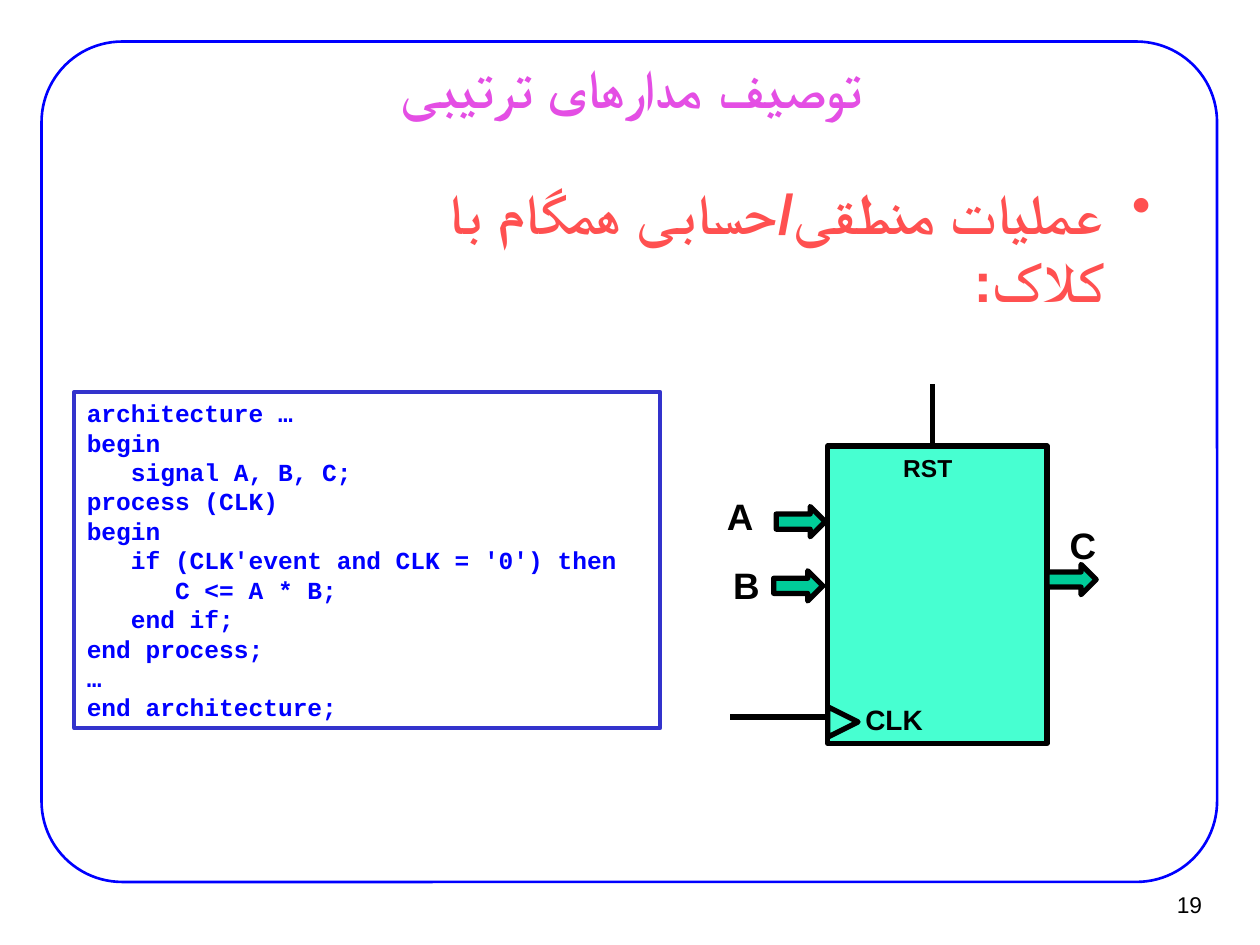
from dataclasses import dataclass

from lxml.etree import SubElement
from pptx import Presentation
from pptx.dml.color import RGBColor as Color
from pptx.enum.shapes import MSO_CONNECTOR as Connector, MSO_SHAPE as Shape
from pptx.enum.text import MSO_ANCHOR as Anchor, PP_ALIGN as Align
from pptx.oxml.ns import qn
from pptx.util import Inches, Pt

CODE = """architecture …
begin
   signal A, B, C;
process (CLK)
begin
   if (CLK'event and CLK = '0') then
      C <= A * B;
   end if;
end process;
…
end architecture;"""


@dataclass(frozen=True)
class Theme:
    """Colours, fonts and type sizes of the slide."""

    black: str = "000000"
    blue: str = "0000FF"
    code_border: str = "3333CC"
    title: str = "E44EE4"
    bullet: str = "FF5050"
    block: str = "47FFD1"
    arrow: str = "00CC99"
    sans: str = "Arial"
    mono: str = "Courier New"
    title_size: int = 31
    bullet_size: int = 32
    port_size: int = 21
    clock_size: int = 16
    small_size: int = 14
    number_size: int = 13


class SlideBuilder:
    """Draws styled elements on the current slide."""

    def __init__(self, slide, theme):
        self.slide = slide
        self.theme = theme

    def shape(self, kind, box, fill=None, line=None, width=3, adjust=None, rotation=0):
        shape = self.slide.shapes.add_shape(kind, *map(Inches, box))
        shape.shadow.inherit = False
        shape.rotation = rotation
        if adjust is not None:
            shape.adjustments[0] = adjust
        if fill:
            shape.fill.solid()
            shape.fill.fore_color.rgb = Color.from_string(fill)
        else:
            shape.fill.background()
        shape.line.color.rgb = Color.from_string(line or self.theme.black)
        shape.line.width = Pt(width)
        return shape

    def line(self, start, end):
        line = self.slide.shapes.add_connector(
            Connector.STRAIGHT, *map(Inches, start + end))
        line.line.color.rgb = Color.from_string(self.theme.black)
        line.line.width = Pt(3)
        SubElement(line._element.spPr, qn("a:effectLst"))

    def set_text(self, shape, text, size, color=None, font=None, bold=True,
                 align=Align.LEFT, anchor=Anchor.TOP, insets=(0.1, 0.05),
                 wrap=True, rtl=False, bullet=False):
        frame = shape.text_frame
        frame.word_wrap = wrap
        frame.vertical_anchor = anchor
        frame.margin_left = frame.margin_right = Inches(insets[0])
        frame.margin_top = frame.margin_bottom = Inches(insets[1])
        for index, content in enumerate(text.split("\n")):
            paragraph = frame.add_paragraph() if index else frame.paragraphs[0]
            paragraph.alignment = align
            properties = paragraph._p.get_or_add_pPr()
            if rtl:
                properties.set("rtl", "1")
            if bullet:
                properties.set("marL", str(Inches(0.38)))
                properties.set("indent", str(-Inches(0.38)))
                SubElement(properties, qn("a:buChar")).set("char", "•")
            run = paragraph.add_run()
            run.text = content
            run.font.size = Pt(size)
            run.font.bold = bold
            run.font.name = font or self.theme.sans
            run.font.color.rgb = Color.from_string(color or self.theme.black)
            if rtl:
                complex_font = SubElement(run._r.get_or_add_rPr(), qn("a:cs"))
                complex_font.set("typeface", self.theme.sans)

    def text(self, box, text, size, **style):
        shape = self.slide.shapes.add_textbox(*map(Inches, box))
        self.set_text(shape, text, size, **style)

    def code(self, box, text):
        shape = self.shape(Shape.RECTANGLE, box, line=self.theme.code_border, width=2.25)
        self.set_text(shape, text, self.theme.small_size, color=self.theme.blue,
                      font=self.theme.mono, anchor=Anchor.MIDDLE)

    def port(self, name, label_at, arrow_at):
        self.text((*label_at, 0.35, 0.45), name, self.theme.port_size)
        self.shape(Shape.RIGHT_ARROW, (*arrow_at, 0.39, 0.24), fill=self.theme.arrow)


def main():
    presentation = Presentation()
    presentation.slide_width, presentation.slide_height = Inches(10), Inches(7.5)
    theme = Theme()
    slide = presentation.slides.add_slide(presentation.slide_layouts[6])
    builder = SlideBuilder(slide, theme)

    builder.shape(Shape.ROUNDED_RECTANGLE, (0.33, 0.33, 9.33, 6.67),
                  line=theme.blue, width=1.5, adjust=0.096)
    builder.text((0.76, 0.44, 8.5, 0.49), "توصیف مدارهای ترتیبی", theme.title_size,
                 color=theme.title, align=Align.CENTER, anchor=Anchor.MIDDLE,
                 insets=(0.11, 0.06), rtl=True)
    builder.text((2.56, 1.36, 6.69, 1.52), "عملیات منطقی/حسابی همگام با کلاک:",
                 theme.bullet_size, color=theme.bullet, align=Align.RIGHT,
                 insets=(0.11, 0.06), rtl=True, bullet=True)
    builder.text((9.02, 6.99, 0.61, 0.37), "19", theme.number_size, bold=False,
                 align=Align.RIGHT, anchor=Anchor.MIDDLE, insets=(0.09, 0.04), wrap=False)
    builder.code((0.59, 3.11, 4.65, 2.67), CODE)

    builder.shape(Shape.RECTANGLE, (6.57, 3.54, 1.74, 2.36), fill=theme.block)
    builder.shape(Shape.ISOSCELES_TRIANGLE, (6.57, 5.61, 0.24, 0.24),
                  fill=theme.block, rotation=90)
    builder.line((6.57, 5.69), (5.79, 5.69))
    builder.line((7.4, 3.05), (7.4, 3.52))
    builder.text((6.77, 5.53, 0.67, 0.37), "CLK", theme.clock_size)
    builder.text((7.07, 3.55, 0.67, 0.34), "RST", theme.small_size)
    for name, label_at, arrow_at in (
        ("A", (5.67, 3.87), (6.16, 4.02)),
        ("B", (5.72, 4.42), (6.14, 4.53)),
        ("C", (8.39, 4.1), (8.31, 4.48)),
    ):
        builder.port(name, label_at, arrow_at)

    presentation.save("out.pptx")


if __name__ == "__main__":
    main()
